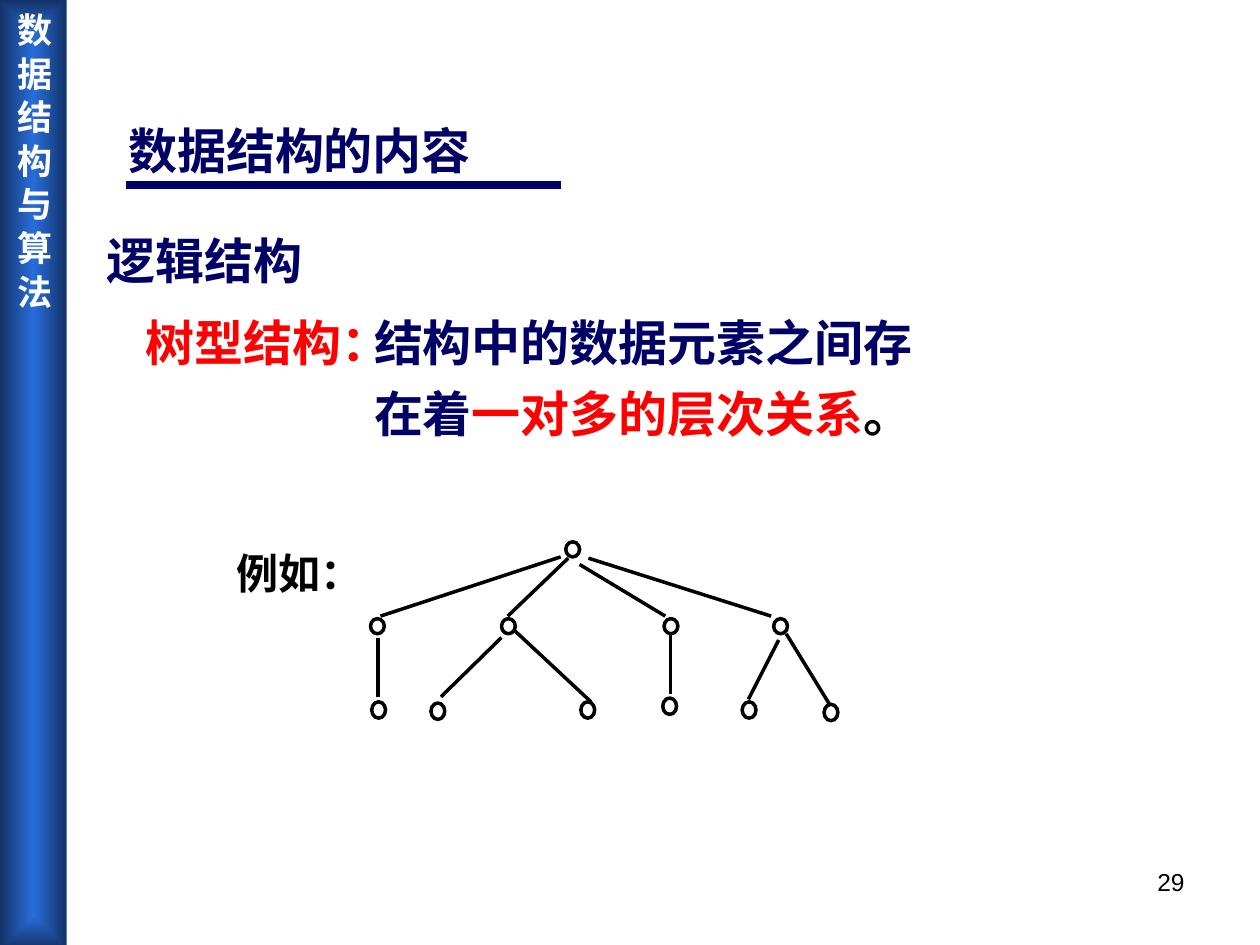
"""Builds the slide on tree structures from a course on data structures and algorithms."""
from lxml.etree import SubElement
from pptx import Presentation
from pptx.dml.color import RGBColor
from pptx.enum.shapes import MSO_CONNECTOR, MSO_SHAPE
from pptx.enum.text import MSO_ANCHOR, PP_ALIGN
from pptx.oxml import parse_xml
from pptx.oxml.ns import nsdecls, qn
from pptx.util import Inches, Pt

NAVY = RGBColor(0x00, 0x00, 0x66)
RED = RGBColor(0xFF, 0x00, 0x00)
BLACK = RGBColor(0x00, 0x00, 0x00)
WHITE = RGBColor(0xFF, 0xFF, 0xFF)
BAR_BLUE = RGBColor(0x28, 0x6D, 0xDC)
BAR_EDGE = RGBColor(0x13, 0x32, 0x66)
CJK = "Noto Sans CJK SC"

deck = Presentation()
deck.slide_width, deck.slide_height = Inches(10), Inches(7.5)
COL, ROW = deck.slide_width / 100, deck.slide_height / 75
slide = deck.slides.add_slide(deck.slide_layouts[6])


def write(frame, lines, size, bold=True, latin="Arial", align=PP_ALIGN.LEFT, before=0):
    for number, line in enumerate(lines):
        paragraph = frame.add_paragraph() if number else frame.paragraphs[0]
        paragraph.alignment, paragraph.space_before = align, Pt(before)
        for words, color in line:
            run = paragraph.add_run()
            run.text = words
            run.font.size, run.font.bold, run.font.name = Pt(size), bold, latin
            run.font.color.rgb = color
            SubElement(run.font._element, qn("a:ea")).set("typeface", CJK)


def draw_line(shapes, start, end, color, width):
    line = shapes.add_connector(
        MSO_CONNECTOR.STRAIGHT,
        round(start[0] * COL), round(start[1] * ROW), round(end[0] * COL), round(end[1] * ROW))
    line.line.color.rgb, line.line.width = color, Pt(width)
    SubElement(line._element.spPr, qn("a:effectLst"))


sidebar = slide.shapes.add_shape(MSO_SHAPE.RECTANGLE, 0, 0, round(5.3 * COL), round(75.3 * ROW))
sidebar.shadow.inherit = False
sidebar.line.fill.background()
sidebar.fill.gradient()
gradient = sidebar._element.spPr.find(qn("a:gradFill"))
gradient.getparent().replace(gradient, parse_xml(
    f'<a:gradFill {nsdecls("a")} rotWithShape="1"><a:gsLst>'
    f'<a:gs pos="0"><a:srgbClr val="{BAR_BLUE}"/></a:gs>'
    f'<a:gs pos="100000"><a:srgbClr val="{BAR_EDGE}"/></a:gs></a:gsLst>'
    '<a:path path="rect"><a:fillToRect l="50000" t="50000" r="50000" b="50000"/></a:path>'
    '</a:gradFill>'))
course = sidebar.text_frame
course.margin_left = course.margin_right = Inches(0.05)
course.margin_top = course.margin_bottom = Inches(0.1)
course.vertical_anchor = MSO_ANCHOR.MIDDLE
course._txBody.bodyPr.set("vert", "eaVert")
write(course, [[("数 据 结 构 与 算 法", WHITE)]], 20, latin=CJK, align=PP_ALIGN.CENTER)

tree = slide.shapes.add_group_shape()

definition = [
    [("结构中的数据元素之间存", NAVY)],
    [("在着", NAVY), ("一对多的层次关系", RED), ("。", BLACK)],
]
passages = [
    (slide, 71.7, 68.3, 23.3, 5.2, [[("29", BLACK)]], 14, {"bold": False, "align": PP_ALIGN.RIGHT}),
    (slide, 9.2, 9.1, 37.7, 5.7, [[("数据结构的内容", NAVY)]], 28, {}),
    (slide, 7.5, 17.8, 17.6, 5.7, [[("逻辑结构", NAVY)]], 28, {}),
    (slide, 10.6, 24.3, 21.5, 5.7, [[("树型结构：", RED)]], 28, {}),
    (slide, 28.7, 24.3, 46.1, 11.3, definition, 28, {"before": 7}),
    (tree, 17.8, 43, 12, 5, [[("例如：", BLACK)]], 24, {}),
]
for parent, left, top, width, height, lines, size, style in passages:
    passage = parent.shapes.add_textbox(
        round(left * COL), round(top * ROW), round(width * COL), round(height * ROW))
    passage.text_frame.word_wrap = parent is slide and lines is not definition
    write(passage.text_frame, lines, size, **style)

draw_line(slide.shapes, (10, 14.7), (44.5, 14.7), NAVY, 4.25)

branches = [
    ((44.5, 44.2), (30.2, 48.9)), ((45.1, 44.3), (40.3, 48.9)),
    ((46, 44.8), (52.8, 48.9)), ((46.7, 44.3), (61.2, 48.9)),
    ((30, 50.6), (30, 55.3)), ((39.8, 50.6), (35, 55.3)),
    ((40.9, 50.1), (46.9, 55.7)), ((53.2, 50.4), (53.2, 55.1)),
    ((61.8, 50.8), (59.4, 55.5)), ((62.4, 50.3), (65.9, 56)),
]
for start, end in branches:
    draw_line(tree.shapes, start, end, BLACK, 2)

upper_nodes = [(44.9, 43)] + [(left, 49.1) for left in (29.4, 39.8, 52.7, 61.4)]
leaves = [(29.5, 55.7), (34.2, 55.8), (46.1, 55.7), (52.6, 55.4), (58.9, 55.7), (65.4, 55.9)]
for nodes, height in ((upper_nodes, 1.2), (leaves, 1.3)):
    for left, top in nodes:
        node = tree.shapes.add_shape(
            MSO_SHAPE.OVAL, round(left * COL), round(top * ROW), round(1.1 * COL), round(height * ROW))
        node.shadow.inherit = False
        node.fill.solid()
        node.fill.fore_color.rgb = WHITE
        node.line.color.rgb, node.line.width = BLACK, Pt(2)

deck.save("out.pptx")
